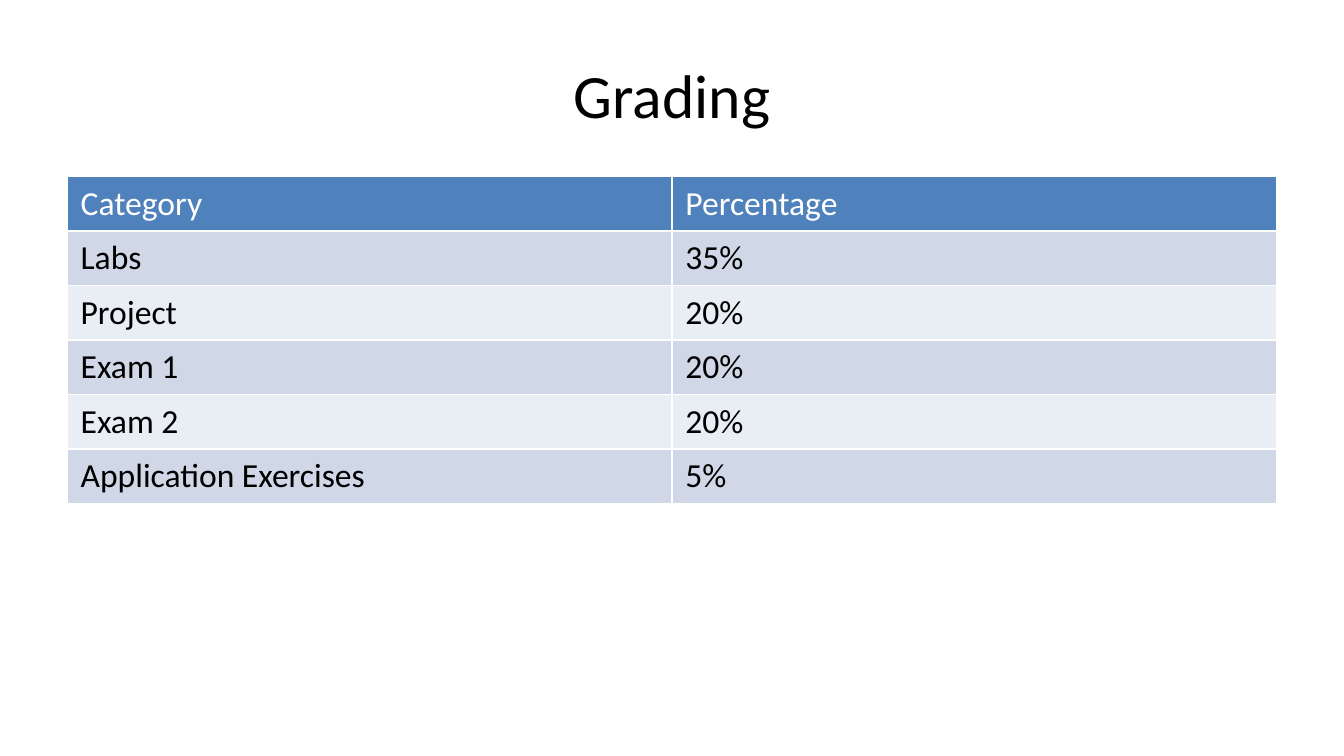
from dataclasses import dataclass

from pptx import Presentation
from pptx.dml.color import RGBColor
from pptx.enum.text import MSO_ANCHOR, PP_ALIGN
from pptx.util import Pt

MIDDLE = MSO_ANCHOR.MIDDLE
CENTER = PP_ALIGN.CENTER
TITLE_ONLY = 5


@dataclass(frozen=True)
class Theme:
    font: str = "Calibri"
    title_size: float = 33
    body_size: float = 18
    text: str = "000000"
    header_text: str = "FFFFFF"
    header_fill: str = "4F81BD"
    bands: tuple = ("D0D8E8", "E9EDF4")


THEME = Theme()
ROW_HEIGHT = 29.16
GRADES = [
    ("Category", "Percentage"),
    ("Labs", "35%"),
    ("Project", "20%"),
    ("Exam 1", "20%"),
    ("Exam 2", "20%"),
    ("Application Exercises", "5%"),
]


def format_runs(p, size, color):
    for r in p.runs:
        r.font.name = THEME.font
        r.font.size = Pt(size)
        r.font.bold = False
        r.font.color.rgb = RGBColor.from_string(color)


def place_title(s, text, x, y, w, h):
    title = s.shapes.title
    title.left, title.top, title.width, title.height = Pt(x), Pt(y), Pt(w), Pt(h)
    tf = title.text_frame
    tf.text = text
    tf.vertical_anchor = MIDDLE
    p = tf.paragraphs[0]
    p.alignment = CENTER
    format_runs(p, THEME.title_size, THEME.text)


def add_grade_table(s, rows, x, y, w):
    """Add a table with a header row; the built-in style draws its white rules."""
    columns = len(rows[0])
    table = s.shapes.add_table(
        len(rows), columns, Pt(x), Pt(y), Pt(w), Pt(ROW_HEIGHT * len(rows))
    ).table
    for column in table.columns:
        column.width = Pt(w / columns)
    for i, values in enumerate(rows):
        table.rows[i].height = Pt(ROW_HEIGHT)
        if i == 0:
            fill, color = THEME.header_fill, THEME.header_text
        else:
            fill, color = THEME.bands[(i - 1) % 2], THEME.text
        for j, value in enumerate(values):
            cell = table.cell(i, j)
            cell.fill.solid()
            cell.fill.fore_color.rgb = RGBColor.from_string(fill)
            cell.text_frame.text = value
            format_runs(cell.text_frame.paragraphs[0], THEME.body_size, color)


def main():
    prs = Presentation()
    prs.slide_width, prs.slide_height = Pt(720), Pt(405)
    s = prs.slides.add_slide(prs.slide_layouts[TITLE_ONLY])
    place_title(s, "Grading", 36, 16.5, 648, 67.5)
    add_grade_table(s, GRADES, 36, 94.5, 648)
    prs.save("out.pptx")


if __name__ == "__main__":
    main()
